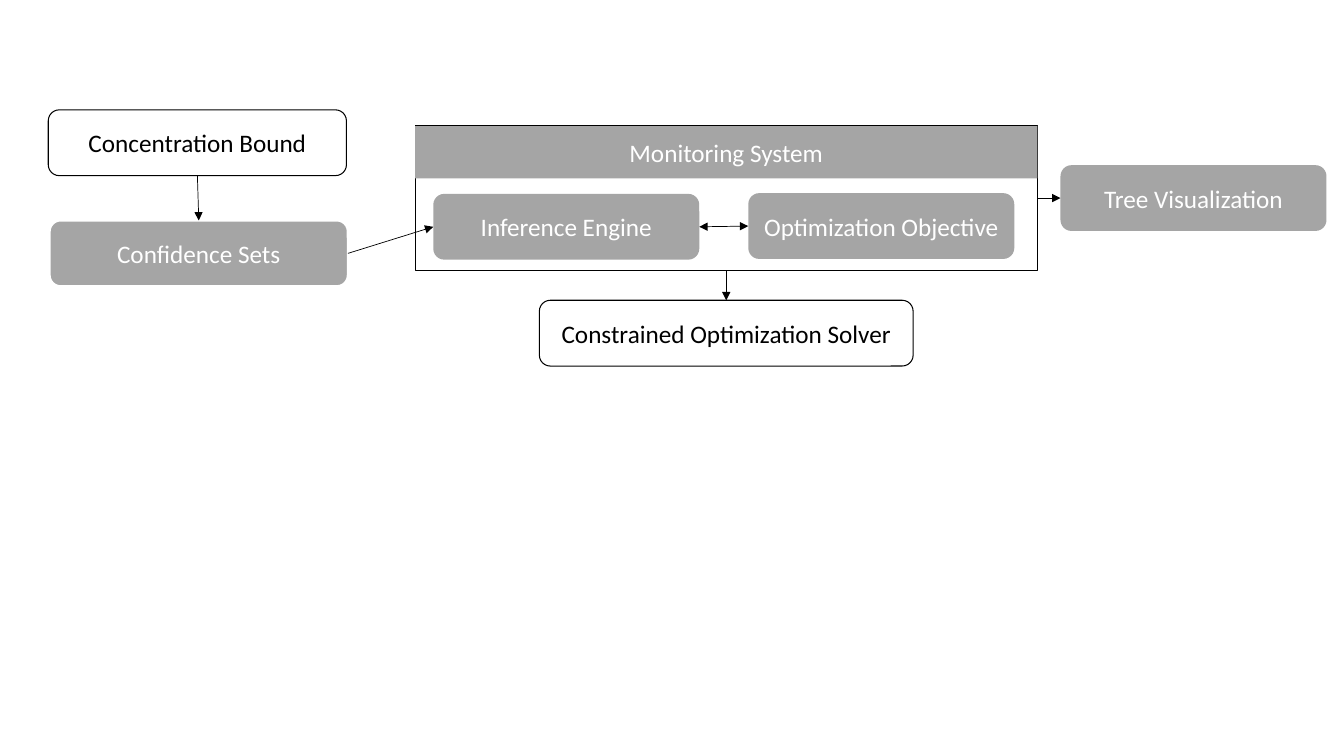
"""Draw the monitoring system pipeline as a one-slide block diagram."""
from dataclasses import dataclass

from lxml.etree import SubElement
from pptx import Presentation
from pptx.dml.color import RGBColor as Rgb
from pptx.enum.shapes import MSO_CONNECTOR as Connector, MSO_SHAPE as Shape
from pptx.enum.text import MSO_ANCHOR as Anchor, PP_ALIGN as Align
from pptx.oxml.ns import qn
from pptx.util import Pt


@dataclass(frozen=True)
class Theme:
    """Colours, type and line weights of the diagram."""
    ink: Rgb = Rgb(0x00, 0x00, 0x00)
    paper: Rgb = Rgb(0xFF, 0xFF, 0xFF)
    block: Rgb = Rgb(0xA5, 0xA5, 0xA5)
    font: str = "Calibri"
    label_size: float = 18
    outline: float = 0.75
    halo: float = 1.5
    arrow: float = 0.5


TOP, LEFT, BOTTOM, RIGHT = range(4)
ROW = 47
SIDE, MODULE, SOLVER = 213, 190, 267


class Diagram:
    """Places boxes and arrows on one slide in a given theme."""

    def __init__(self, slide, theme):
        """Keep the slide and its theme."""
        self.slide = slide
        self.theme = theme

    def box(self, kind, left, top, width, height, label="", fill=None, line=None, weight=None):
        """Add a shape with an optional fill, outline and centred label."""
        box = self.slide.shapes.add_shape(kind, Pt(left), Pt(top), Pt(width), Pt(height))
        box.shadow.inherit = False
        if fill is None:
            box.fill.background()
        else:
            box.fill.solid()
            box.fill.fore_color.rgb = fill
        if line is None:
            box.line.fill.background()
        else:
            box.line.color.rgb = line
            box.line.width = Pt(weight)
        if label:
            self.label(box.text_frame, label, self.theme.ink if fill is None else self.theme.paper)
        return box

    def label(self, frame, text, color):
        """Write one centred run into a text frame."""
        frame.word_wrap = True
        frame.vertical_anchor = Anchor.MIDDLE
        paragraph = frame.paragraphs[0]
        paragraph.alignment = Align.CENTER
        run = paragraph.add_run()
        run.text = text
        run.font.name = self.theme.font
        run.font.size = Pt(self.theme.label_size)
        run.font.color.rgb = color

    def external(self, label, left, top, width):
        """Add an outlined rounded box."""
        return self.box(Shape.ROUNDED_RECTANGLE, left, top, width, ROW, label,
                        line=self.theme.ink, weight=self.theme.outline)

    def module(self, label, left, top, width=MODULE, line=None):
        """Add a grey rounded box."""
        return self.box(Shape.ROUNDED_RECTANGLE, left, top, width, ROW, label,
                        fill=self.theme.block, line=line, weight=self.theme.halo)

    def arrow(self, source, source_side, target, target_side, ends=("tailEnd",)):
        """Join two boxes with a thin straight arrow."""
        arrow = self.slide.shapes.add_connector(Connector.STRAIGHT, 0, 0, 0, 0)
        arrow.begin_connect(source, source_side)
        arrow.end_connect(target, target_side)
        arrow.line.color.rgb = self.theme.ink
        arrow.line.width = Pt(self.theme.arrow)
        properties = arrow._element.spPr
        stroke = properties.find(qn("a:ln"))
        for end in ends:
            SubElement(stroke, qn(f"a:{end}"), type="triangle")
        SubElement(properties, qn("a:effectLst"))


def main():
    """Build the slide and save it."""
    deck = Presentation()
    deck.slide_width, deck.slide_height = Pt(960), Pt(540)
    theme = Theme()
    diagram = Diagram(deck.slides.add_slide(deck.slide_layouts[6]), theme)

    bound = diagram.external("Concentration Bound", 34.5, 78.5, SIDE)
    confidence = diagram.module("Confidence Sets", 35.5, 157.5, SIDE, line=theme.paper)
    inference = diagram.module("Inference Engine", 309.5, 138.5)
    left, top, width = 296.5, 90, 444.5
    system = diagram.box(Shape.RECTANGLE, left, top, width, 103,
                         line=theme.ink, weight=theme.outline)
    diagram.box(Shape.RECTANGLE, left, top, width, 37.5, "Monitoring System", fill=theme.block)
    objective = diagram.module("Optimization Objective", 534.5, 138)
    visualization = diagram.module("Tree Visualization", 757.5, 118)
    solver = diagram.external("Constrained Optimization Solver",
                              left + (width - SOLVER) / 2, 214.5, SOLVER)

    diagram.arrow(bound, BOTTOM, confidence, TOP)
    diagram.arrow(confidence, RIGHT, inference, LEFT)
    diagram.arrow(inference, RIGHT, objective, LEFT, ends=("headEnd", "tailEnd"))
    diagram.arrow(system, RIGHT, visualization, LEFT)
    diagram.arrow(system, BOTTOM, solver, TOP)

    deck.save("out.pptx")


if __name__ == "__main__":
    main()
